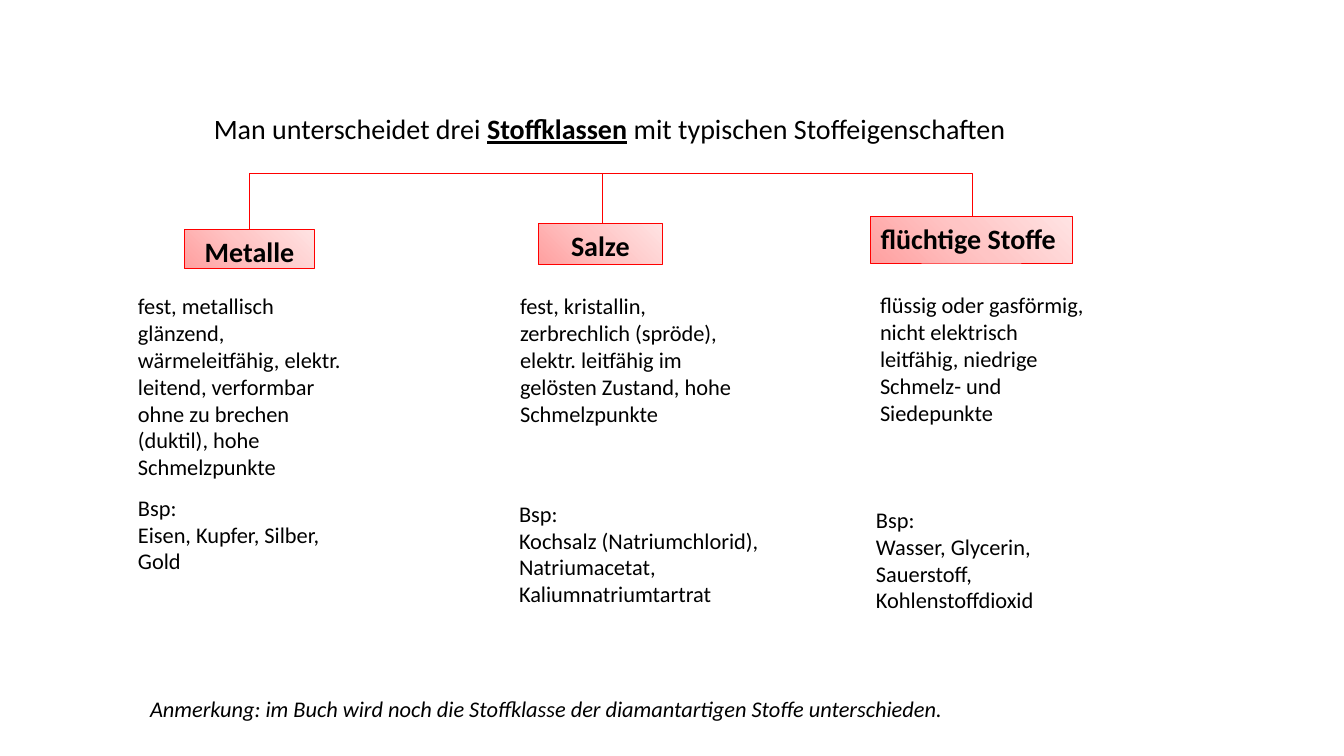
"""Build the slide on the three classes of substances."""
from lxml import etree
from pptx import Presentation
from pptx.dml.color import RGBColor
from pptx.enum.shapes import MSO_CONNECTOR, MSO_SHAPE
from pptx.enum.text import MSO_ANCHOR, MSO_AUTO_SIZE, PP_ALIGN
from pptx.oxml import parse_xml
from pptx.oxml.ns import nsdecls, qn
from pptx.util import Inches, Pt

RECTANGLE = MSO_SHAPE.RECTANGLE
ELBOW, STRAIGHT = MSO_CONNECTOR.ELBOW, MSO_CONNECTOR.STRAIGHT
LEFT, CENTER = PP_ALIGN.LEFT, PP_ALIGN.CENTER
TOP, MIDDLE = MSO_ANCHOR.TOP, MSO_ANCHOR.MIDDLE
NO_RESIZE = MSO_AUTO_SIZE.NONE

COLORS = {"text": "000000", "panel": "FFFFFF", "line": "FF0000"}
GRADIENT = [(0, "FFA0A0"), (50, "FFC5C5"), (100, "FFE3E3")]
FONT = "Calibri"
LINE_WIDTH = Pt(0.5)
HEADING = {"size": Pt(20), "bold": True}
BODY = {"size": Pt(16), "bold": False}

TITLE_BOX = (2.02, 1.06, 8.15, 0.43)
TITLE_RUNS = [
    ("Man unterscheidet drei ", {"size": Pt(20), "bold": False}),
    ("Stoffklassen", {"size": Pt(20), "bold": True, "underline": True}),
    (" mit typischen Stoffeigenschaften", {"size": Pt(20), "bold": False}),
]
CLASSES = [
    {"name": "Metalle", "name_box": (1.83, 2.28, 1.29, 0.38),
     "properties": "fest, metallisch glänzend, wärmeleitfähig, elektr. leitend, "
                   "verformbar ohne zu brechen (duktil), hohe Schmelzpunkte",
     "properties_box": (1.27, 2.85, 2.3, 2.0),
     "examples": "Eisen, Kupfer, Silber, Gold",
     "examples_box": (1.27, 4.85, 2.3, 0.91)},
    {"name": "Salze", "name_box": (5.34, 2.22, 1.23, 0.4),
     "properties": "fest, kristallin, zerbrechlich (spröde), elektr. leitfähig im "
                   "gelösten Zustand, hohe Schmelzpunkte",
     "properties_box": (5.06, 2.85, 2.3, 2.04),
     "examples": "Kochsalz (Natriumchlorid), Natriumacetat, Kaliumnatriumtartrat",
     "examples_box": (5.05, 4.91, 2.6, 1.18)},
    {"name": "flüchtige Stoffe ", "name_box": (8.63, 2.15, 2.01, 0.46),
     "properties": "flüssig oder gasförmig, nicht elektrisch leitfähig, niedrige "
                   "Schmelz- und Siedepunkte",
     "properties_box": (8.63, 2.84, 2.26, 2.04),
     "examples": "Wasser, Glycerin, Sauerstoff, Kohlenstoffdioxid",
     "examples_box": (8.59, 4.97, 2.3, 1.18)},
]
BRANCH = (5.97, 1.72)
BRANCH_ENDS = [(ELBOW, 2.47), (STRAIGHT, 5.97), (ELBOW, 9.64)]
NOTE = "Anmerkung: im Buch wird noch die Stoffklasse der diamantartigen Stoffe unterschieden."
NOTE_BOX = (1.39, 6.85, 8.12, 0.37)


def lengths(values):
    return [Inches(value) for value in values]


def write(shape, paragraphs, alignment=LEFT, anchor=TOP, wrap=True):
    frame = shape.text_frame
    settings = {"word_wrap": wrap, "auto_size": NO_RESIZE, "vertical_anchor": anchor}
    for name, value in settings.items():
        setattr(frame, name, value)
    for index, runs in enumerate(paragraphs):
        paragraph = frame.add_paragraph() if index else frame.paragraphs[0]
        paragraph.alignment = alignment
        for text, style in runs:
            run = paragraph.add_run()
            run.text = text
            run.font.color.rgb = RGBColor.from_string(COLORS["text"])
            for name, value in {"name": FONT, **style}.items():
                setattr(run.font, name, value)


def add_rectangle(slide, box):
    shape = slide.shapes.add_shape(RECTANGLE, *lengths(box))
    shape.shadow.inherit = False
    return shape


def add_panel(slide, box, text):
    shape = add_rectangle(slide, box)
    shape.fill.solid()
    shape.fill.fore_color.rgb = RGBColor.from_string(COLORS["panel"])
    shape.line.fill.background()
    write(shape, [[(text, BODY)]])


def add_name(slide, box, text):
    shape = add_rectangle(slide, box)
    stops = "".join(
        f'<a:gs pos="{position * 1000}"><a:srgbClr val="{color}"/></a:gs>'
        for position, color in GRADIENT)
    gradient = parse_xml(
        f'<a:gradFill {nsdecls("a")} rotWithShape="1"><a:gsLst>{stops}</a:gsLst>'
        '<a:path path="circle"><a:fillToRect t="100000" r="100000"/></a:path></a:gradFill>')
    shape._element.spPr.find(qn("a:prstGeom")).addnext(gradient)
    style_line(shape)
    write(shape, [[(text, HEADING)]], CENTER)


def add_text(slide, box, paragraphs):
    write(slide.shapes.add_textbox(*lengths(box)), paragraphs)


def style_line(shape):
    shape.line.color.rgb = RGBColor.from_string(COLORS["line"])
    shape.line.width = LINE_WIDTH


def add_branch(slide, kind, x, y):
    connector = slide.shapes.add_connector(kind, *lengths((*BRANCH, x, y)))
    style_line(connector)
    properties = connector._element.spPr
    if kind == ELBOW:
        properties.find(qn("a:prstGeom")).set("prst", "bentConnector2")
    etree.SubElement(properties, qn("a:effectLst"))


presentation = Presentation()
presentation.slide_width, presentation.slide_height = lengths((13.33, 7.5))
slide = presentation.slides.add_slide(presentation.slide_layouts[5])

title = slide.shapes.title
title.left, title.top, title.width, title.height = lengths(TITLE_BOX)
write(title, [TITLE_RUNS], anchor=MIDDLE, wrap=False)

for substance, (kind, x) in zip(CLASSES, BRANCH_ENDS):
    add_panel(slide, substance["properties_box"], substance["properties"])
    add_name(slide, substance["name_box"], substance["name"])
    add_branch(slide, kind, x, substance["name_box"][1])
    add_text(slide, substance["examples_box"],
             [[("Bsp:", BODY)], [(substance["examples"], BODY)]])

add_text(slide, NOTE_BOX, [[(NOTE, {**BODY, "italic": True})]])

presentation.save("out.pptx")
